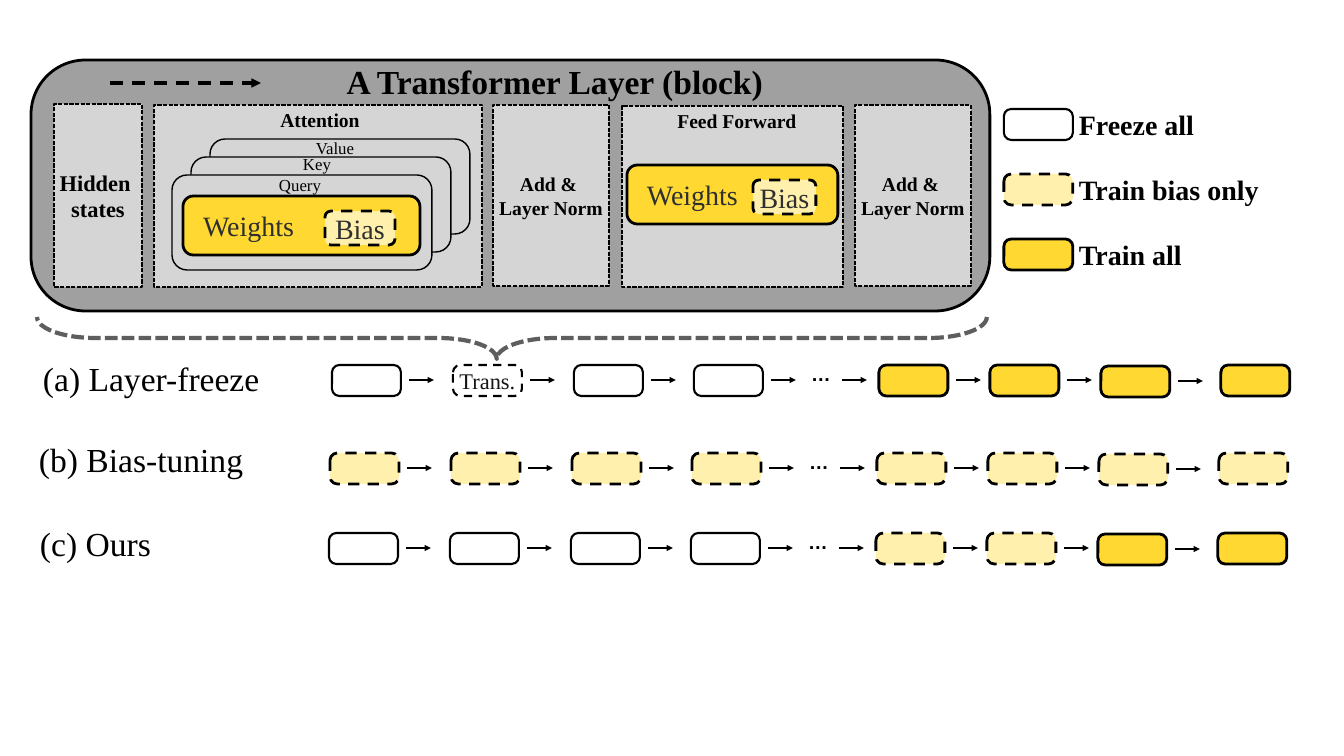
from lxml.etree import SubElement
from pptx import Presentation
from pptx.dml.color import RGBColor
from pptx.enum.dml import MSO_LINE
from pptx.enum.shapes import MSO_CONNECTOR, MSO_SHAPE
from pptx.enum.text import MSO_ANCHOR, MSO_AUTO_SIZE, PP_ALIGN
from pptx.oxml.ns import qn
from pptx.util import Pt

SCALE = 914400 / 50.4  # EMU per pixel
BLACK = RGBColor(0, 0, 0)
WHITE = RGBColor(0xFF, 0xFF, 0xFF)
GRAY = RGBColor(0xA0, 0xA0, 0xA0)
LIGHT_GRAY = RGBColor(0xD5, 0xD5, 0xD5)
BRACE_GRAY = RGBColor(0x5E, 0x5E, 0x5E)
INK = RGBColor(0x2F, 0x2F, 0x2F)
TRANS_INK = RGBColor(0x15, 0x15, 0x15)
YELLOW = RGBColor(0xFF, 0xD9, 0x32)
PALE_YELLOW = RGBColor(0xFF, 0xF0, 0xAD)
SERIF, SANS = "Times New Roman", "Arial"
INSET = 3

# Content: box styles are fill, line width, dash
STYLES = {
    "freeze": (WHITE, 3, None),
    "trans": (WHITE, 3, MSO_LINE.DASH),
    "bias": (PALE_YELLOW, 4, MSO_LINE.DASH),
    "train": (YELLOW, 4, None),
}
TITLE = "A Transformer Layer (block)"
PANELS = [  # left, top, width, height, text, size
    (154, 105, 328, 182, "", 28),
    (54, 104, 88, 183, "Hidden \nstates", 32),
    (622, 106, 221, 181, "", 28),
    (493, 105, 116, 181, "Add & \nLayer Norm", 28),
    (855, 105, 116, 181, "Add & \nLayer Norm", 28),
]
HEADINGS = [("Attention", 277, 105, 86), ("Feed Forward", 674, 106, 126)]
STACK = [("Value", 312, 135, 46), ("Key", 300, 151, 34), ("Query", 276, 172, 48)]
WEIGHTS = [  # weights left, top, width; bias left, width
    (183, 196, 237, 325, 70),
    (627, 165, 211, 753, 63),
]
LEGEND = [("Freeze all", "freeze", 122), ("Train bias only", "bias", 190),
          ("Train all", "train", 114)]
ROWS = [  # label, label left, top, width; boxes left, top; styles
    ("(a) Layer-freeze", 40, 360, 225, 332, 365,
     ["freeze", "trans", "freeze", "freeze"] + ["train"] * 4),
    ("(b) Bias-tuning", 36, 441, 212, 330, 453, ["bias"] * 8),
    ("(c) Ours", 37, 525, 118, 329, 533,
     ["freeze"] * 4 + ["bias"] * 2 + ["train"] * 2),
]
BOX_OFFSETS = [(0, 0), (121, 0), (242, 0), (362, 0),
               (547, 0), (658, 0), (769, 1), (889, 0)]
BOX_W, BOX_H = 69, 31
ARROW_GAP, ARROW_LEN = 77, 25
ELLIPSIS_X, ELLIPSIS_ARROW_X = 476, 510

deck = Presentation()
deck.slide_width, deck.slide_height = round(26.67 * 914400), round(15 * 914400)
slide = deck.slides.add_slide(deck.slide_layouts[5])
shapes = slide.shapes


def px(*lengths):
    return [round(length * SCALE) for length in lengths]


def write(shape, text, size, color=BLACK, bold=False, align=PP_ALIGN.CENTER,
          font=SERIF, wrap=True, left_inset=INSET, spacing=None):
    frame = shape.text_frame
    frame.text = text
    frame.word_wrap = wrap
    frame.auto_size = MSO_AUTO_SIZE.NONE
    frame.vertical_anchor = MSO_ANCHOR.MIDDLE
    frame.margin_left, frame.margin_top = px(left_inset, INSET)
    frame.margin_right, frame.margin_bottom = px(INSET, INSET)
    for line in frame.paragraphs:
        line.alignment = align
        line.line_spacing = spacing
        line.font.name, line.font.size, line.font.bold = font, Pt(size), bold
        line.font.color.rgb = color


def label(text, x, y, w, h, size, **look):
    write(shapes.add_textbox(*px(x, y, w, h)), text, size, wrap=False, **look)


def box(kind, x, y, w, h, fill, width, dash=None, corner=None, line=BLACK):
    shape = shapes.add_shape(kind, *px(x, y, w, h))
    shape.shadow.inherit = False
    if fill is None:
        shape.fill.background()
    else:
        shape.fill.solid()
        shape.fill.fore_color.rgb = fill
    shape.line.color.rgb = line
    shape.line.width = Pt(width)
    if dash is not None:
        shape.line.dash_style = dash
    if corner is not None:
        shape.adjustments[0] = corner
    return shape


def rounded(x, y, w, h, corner, style):
    return box(MSO_SHAPE.ROUNDED_RECTANGLE, x, y, w, h, *style, corner=corner)


def arrow(x, y, length, width=3, dash=None):
    line = shapes.add_connector(MSO_CONNECTOR.STRAIGHT, *px(x, y, x + length, y))
    line.line.color.rgb = BLACK
    line.line.width = Pt(width)
    if dash is not None:
        line.line.dash_style = dash
    SubElement(line.line._get_or_add_ln(), qn("a:tailEnd"), type="triangle")
    SubElement(line._element.spPr, qn("a:effectLst"))


# Transformer layer with its title and flow arrow
rounded(31, 60, 959, 251, 0.217, (GRAY, 4, None))
title = shapes.title
title.left, title.top, title.width, title.height = px(326, 58, 458, 46)
write(title, TITLE, 48, bold=True)
title._element.getparent().append(title._element)
arrow(110, 83, 151, 4.5, MSO_LINE.DASH)

# Panels inside the layer
for x, y, w, h, text, size in PANELS:
    panel = box(MSO_SHAPE.RECTANGLE, x, y, w, h, LIGHT_GRAY, 2, MSO_LINE.SQUARE_DOT)
    if text:
        write(panel, text, size, bold=True)
for text, x, y, w in HEADINGS:
    label(text, x, y, w, 29, 28, bold=True)

# Stacked value, key and query cards
for i, (text, x, y, w) in enumerate(STACK):
    rounded(210 - 19 * i, 139 + 18 * i, 260, 95, 0.159, (LIGHT_GRAY, 2, None))
    label(text, x, y, w, 26, 24)

# Weights with their bias
for x, y, w, bias_x, bias_w in WEIGHTS:
    write(rounded(x, y, w, 59, 0.176, STYLES["train"]), "Weights", 40, INK,
          align=PP_ALIGN.LEFT, left_inset=INSET + 14)
    write(rounded(bias_x, y + 15, bias_w, 34, 0.176, STYLES["bias"]),
          "Bias", 40, INK)

# Legend
for i, (text, style, w) in enumerate(LEGEND):
    y = 109 + 65 * i
    rounded(1004, y, BOX_W, BOX_H, 0.236, STYLES[style])
    label(text, 1076, y - 5, w, 40, 40, bold=True, align=PP_ALIGN.LEFT)

# Brace from the layer to its place in the network
brace = box(MSO_SHAPE.LEFT_BRACE, 491, -137, 42, 950, None, 6,
            MSO_LINE.SQUARE_DOT, 1.391, BRACE_GRAY)
brace.adjustments[1] = 0.484
brace.rotation = 270

# Tuning strategies
for text, label_x, label_y, label_w, x, y, styles in ROWS:
    label(text, label_x, label_y, label_w, 42, 48, align=PP_ALIGN.LEFT, spacing=0.9)
    for (dx, dy), style in zip(BOX_OFFSETS, styles):
        layer = rounded(x + dx, y + dy, BOX_W, BOX_H, 0.236, STYLES[style])
        if style == "trans":
            write(layer, "Trans.", 32, TRANS_INK)
    for dx, dy in BOX_OFFSETS[:-1] + [(ELLIPSIS_ARROW_X - ARROW_GAP, 0)]:
        arrow(x + dx + ARROW_GAP, y + dy + 15, ARROW_LEN)
    label("…", x + ELLIPSIS_X, y - 6, 26, 29, 28, bold=True, font=SANS)

deck.save("out.pptx")
